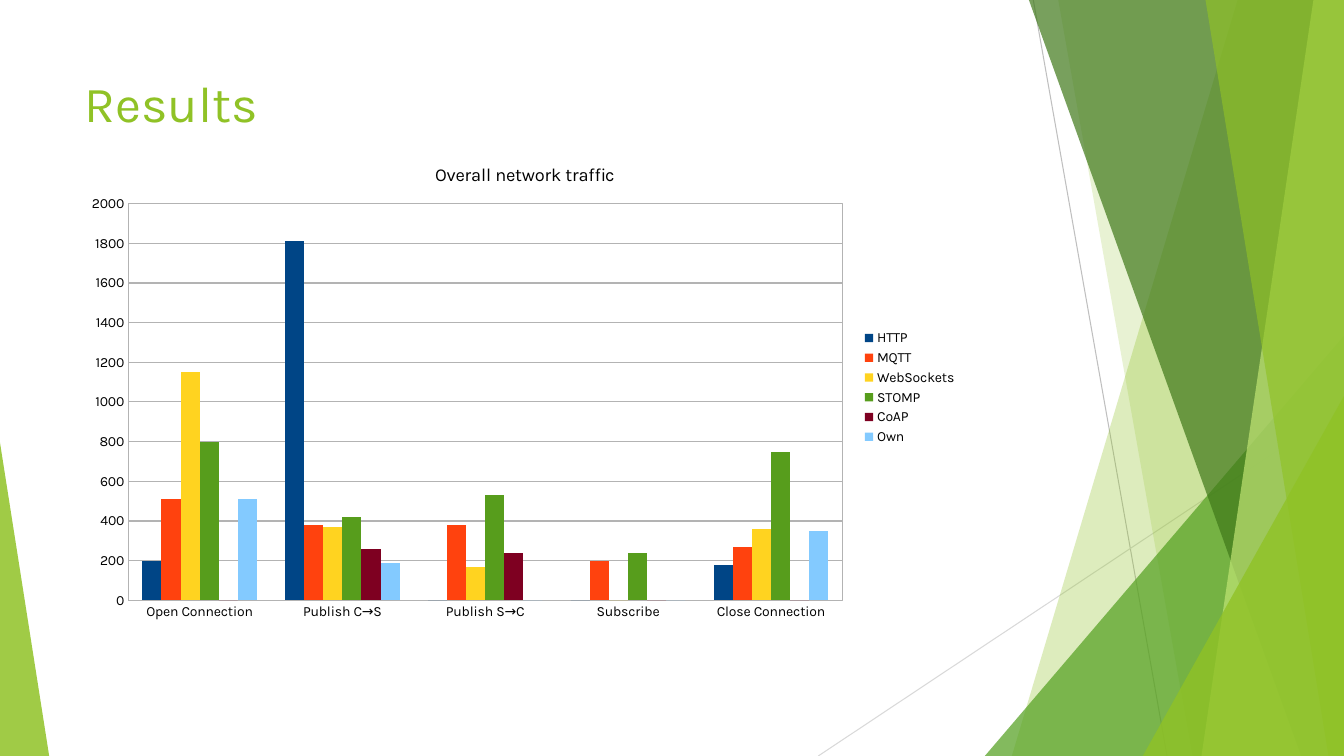
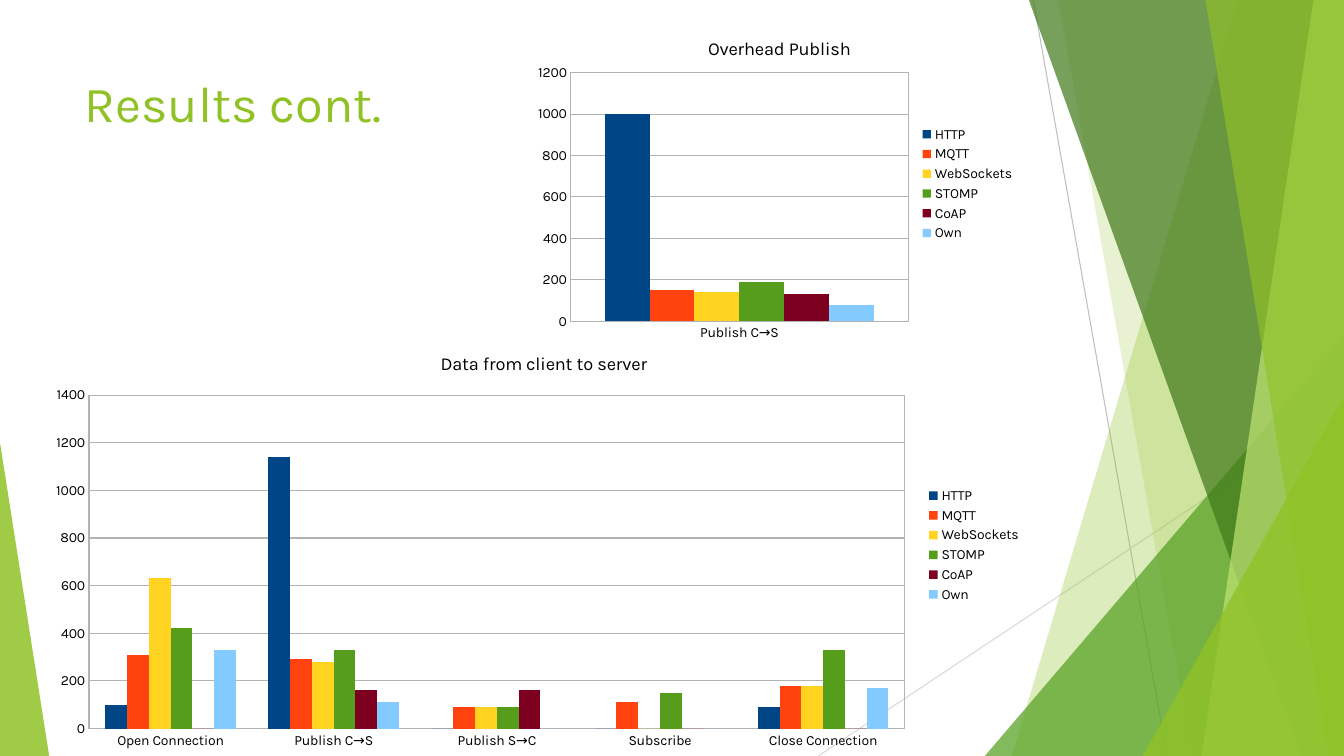
from lxml.etree import SubElement
from pptx import Presentation
from pptx.chart.data import CategoryChartData
from pptx.dml.color import RGBColor
from pptx.enum.chart import XL_CHART_TYPE, XL_LEGEND_POSITION, XL_TICK_MARK
from pptx.enum.shapes import MSO_CONNECTOR, MSO_SHAPE
from pptx.enum.text import MSO_ANCHOR, MSO_AUTO_SIZE, PP_ALIGN
from pptx.oxml import parse_xml
from pptx.oxml.ns import nsdecls, qn
from pptx.util import Cm, Pt

FONT = "Karla"
BLACK = RGBColor(0x00, 0x00, 0x00)
LIME = RGBColor(0x90, 0xC2, 0x26)
GREEN = RGBColor(0x54, 0xA0, 0x21)
DARK_GREEN = RGBColor(0x3F, 0x78, 0x19)
PALE_LIME = RGBColor(0xC0, 0xE4, 0x74)
RAY_GRAY = RGBColor(0xBF, 0xBF, 0xBF)
RAY_LIGHT = RGBColor(0xD9, 0xD9, 0xD9)
GRID_GRAY = RGBColor(0xB3, 0xB3, 0xB3)
PROTOCOL_COLORS = {
    "HTTP": RGBColor(0x00, 0x45, 0x86),
    "MQTT": RGBColor(0xFF, 0x42, 0x0E),
    "WebSockets": RGBColor(0xFF, 0xD3, 0x20),
    "STOMP": RGBColor(0x57, 0x9D, 0x1C),
    "CoAP": RGBColor(0x7E, 0x00, 0x21),
    "Own": RGBColor(0x83, 0xCA, 0xFF),
}

WIDTH, HEIGHT = 33.87, 19.05
TITLE_BOX = (1.88, 1.7, 23.88, 3.66)
PHASES = ["Open Connection", "Publish C→S", "Publish S→C", "Subscribe", "Close Connection"]

RAYS = [
    ((26.04, 0), (29.41, HEIGHT), RAY_GRAY),
    ((WIDTH, 10.24), (20.62, HEIGHT), RAY_LIGHT),
]
FACETS = [
    ("band", 31.19, 25.5, LIME, 30),
    ("band", 26.67, 30.05, LIME, 20),
    ("corner", 24.82, 8.46, GREEN, 72),
    ("band", 25.93, 32.79, DARK_GREEN, 70),
    ("band", 33.1, 30.28, PALE_LIME, 70),
    ("band", 30.38, 33.48, LIME, 65),
    ("corner", 28.8, 9.98, LIME, 80),
]

TRAFFIC = {
    "HTTP": [200, 1810, 0, 0, 180],
    "MQTT": [510, 380, 380, 200, 270],
    "WebSockets": [1150, 370, 170, 0, 360],
    "STOMP": [800, 420, 530, 240, 750],
    "CoAP": [0, 260, 240, 0, 0],
    "Own": [510, 190, 0, 0, 350],
}
CLIENT_TO_SERVER = {
    "HTTP": [100, 1140, 0, 0, 90],
    "MQTT": [310, 290, 90, 110, 180],
    "WebSockets": [630, 280, 90, 0, 180],
    "STOMP": [420, 330, 90, 150, 330],
    "CoAP": [0, 160, 160, 0, 0],
    "Own": [330, 110, 0, 0, 170],
}
OVERHEAD = {
    "HTTP": [1000],
    "MQTT": [150],
    "WebSockets": [140],
    "STOMP": [190],
    "CoAP": [130],
    "Own": [80],
}


def write_text(frame, text, size=10, color=BLACK, align=PP_ALIGN.LEFT):
    paragraph = frame.paragraphs[0]
    paragraph.alignment = align
    run = paragraph.add_run()
    run.text = text
    run.font.name = FONT
    run.font.size = Pt(size)
    run.font.bold = False
    run.font.color.rgb = color


def paint(facet, color, opacity):
    facet.shadow.inherit = False
    facet.fill.solid()
    facet.fill.fore_color.rgb = color
    facet.line.fill.background()
    tint = facet.element.spPr.find(qn("a:solidFill"))[0]
    SubElement(tint, qn("a:alpha")).set("val", str(opacity * 1000))
    return facet


def add_ray(shapes, start, end, color):
    ray = shapes.add_connector(MSO_CONNECTOR.STRAIGHT, *map(Cm, start + end))
    ray.line.color.rgb = color
    ray.line.width = Pt(0.75)
    SubElement(ray.element.spPr, qn("a:effectLst"))
    return ray


def add_band(shapes, top_x, bottom_x, color, opacity):
    outline = shapes.build_freeform(Cm(top_x), 0)
    corners = [(WIDTH, 0), (WIDTH, HEIGHT), (bottom_x, HEIGHT)]
    outline.add_line_segments([(Cm(x), Cm(y)) for x, y in corners], close=True)
    return paint(outline.convert_to_shape(), color, opacity)


def add_corner(shapes, left, top, color, opacity, right=WIDTH, apex=1):
    corner = shapes.add_shape(
        MSO_SHAPE.ISOSCELES_TRIANGLE, Cm(left), Cm(top), Cm(right - left), Cm(HEIGHT - top)
    )
    corner.adjustments[0] = apex
    return paint(corner, color, opacity)


def add_backdrop(layout, slide):
    shapes = slide.shapes
    builders = {"band": add_band, "corner": add_corner}
    backdrop = [add_ray(shapes, *ray) for ray in RAYS]
    backdrop += [builders[kind](shapes, *facet) for kind, *facet in FACETS]
    backdrop.append(add_corner(shapes, 0, 11.15, LIME, 85, right=1.24, apex=0))
    for index, part in enumerate(backdrop):
        part.element.xpath(".//p:cNvPr")[0].set("id", str(100 + index))
        layout.shapes.element.insert(2 + index, part.element)


def add_titled_slide(deck, layout, heading):
    slide = deck.slides.add_slide(layout)
    title = slide.shapes.title
    title.left, title.top, title.width, title.height = map(Cm, TITLE_BOX)
    frame = title.text_frame
    frame.word_wrap = True
    frame.auto_size = MSO_AUTO_SIZE.NONE
    frame.vertical_anchor = MSO_ANCHOR.TOP
    write_text(frame, heading, size=36, color=LIME)
    return slide


def place(part, index, x, y, w=None, h=None):
    for previous in part.findall(qn("c:layout")):
        part.remove(previous)
    layout = parse_xml(f"<c:layout {nsdecls('c')}><c:manualLayout/></c:layout>")
    settings = [("xMode", "edge"), ("yMode", "edge"), ("x", x), ("y", y)]
    if w:
        settings = [("layoutTarget", "inner")] + settings + [("w", w), ("h", h)]
    for tag, value in settings:
        SubElement(layout[0], qn(f"c:{tag}")).set("val", str(value))
    part.insert(index, layout)


def style_axis(axis):
    axis.major_tick_mark = XL_TICK_MARK.NONE
    axis.minor_tick_mark = XL_TICK_MARK.NONE
    axis.tick_labels.font.size = Pt(10)
    axis.format.line.color.rgb = GRID_GRAY
    axis.format.line.width = Pt(0.75)


def add_protocol_chart(slide, box, heading, phases, traffic, top_value, plot_at, title_at, legend_at):
    data = CategoryChartData()
    data.categories = phases
    for protocol, sizes in traffic.items():
        data.add_series(protocol, sizes)
    chart = slide.shapes.add_chart(
        XL_CHART_TYPE.COLUMN_CLUSTERED, *map(Cm, box), data
    ).chart
    chart.font.name = FONT
    chart.font.size = Pt(10)
    chart.font.color.rgb = BLACK

    chart.has_title = True
    write_text(chart.chart_title.text_frame, heading, size=13, align=PP_ALIGN.CENTER)
    chart.has_legend = True
    chart.legend.position = XL_LEGEND_POSITION.RIGHT
    chart.legend.include_in_layout = False
    chart.legend.font.size = Pt(10)

    style_axis(chart.category_axis)
    style_axis(chart.value_axis)
    chart.value_axis.minimum_scale = 0
    chart.value_axis.maximum_scale = top_value
    chart.value_axis.major_unit = 200
    chart.value_axis.has_major_gridlines = True
    gridlines = chart.value_axis.major_gridlines.format.line
    gridlines.color.rgb = GRID_GRAY
    gridlines.width = Pt(0.75)

    columns = chart.plots[0]
    columns.gap_width = 150
    columns.overlap = 0
    columns.vary_by_categories = False
    for series in columns.series:
        series.format.fill.solid()
        series.format.fill.fore_color.rgb = PROTOCOL_COLORS[series.name]

    chart_body = chart.element.find(qn("c:chart"))
    plot_area = chart_body.find(qn("c:plotArea"))
    plot_area.append(parse_xml(
        f"<c:spPr {nsdecls('c', 'a')}><a:noFill/><a:ln w='9525'><a:solidFill>"
        f"<a:srgbClr val='{GRID_GRAY}'/></a:solidFill></a:ln></c:spPr>"
    ))
    place(plot_area, 0, *plot_at)
    place(chart_body.find(qn("c:title")), 1, *title_at)
    place(chart_body.find(qn("c:legend")), 1, *legend_at)


def main():
    deck = Presentation()
    deck.slide_width, deck.slide_height = Cm(WIDTH), Cm(HEIGHT)
    layout = deck.slide_layouts.get_by_name("Title Only")

    results = add_titled_slide(deck, layout, "Results")
    add_backdrop(layout, results)
    add_protocol_chart(
        results, (1.88, 3.53, 22.5, 12.34), "Overall network traffic", PHASES, TRAFFIC, 2000,
        plot_at=(0.06, 0.13, 0.8, 0.81), title_at=(0.4, 0.04), legend_at=(0.88, 0.38),
    )

    continued = add_titled_slide(deck, layout, "Results cont.")
    add_protocol_chart(
        continued, (0.99, 8.36, 25.07, 10.64), "Data from client to server", PHASES,
        CLIENT_TO_SERVER, 1400,
        plot_at=(0.05, 0.15, 0.82, 0.79), title_at=(0.4, 0.04), legend_at=(0.89, 0.36),
    )
    add_protocol_chart(
        continued, (13.26, 0.41, 12.5, 8.36), "Overhead Publish", PHASES[1:2], OVERHEAD, 1200,
        plot_at=(0.09, 0.17, 0.68, 0.75), title_at=(0.36, 0.05), legend_at=(0.79, 0.32),
    )
    deck.save("out.pptx")


if __name__ == "__main__":
    main()
